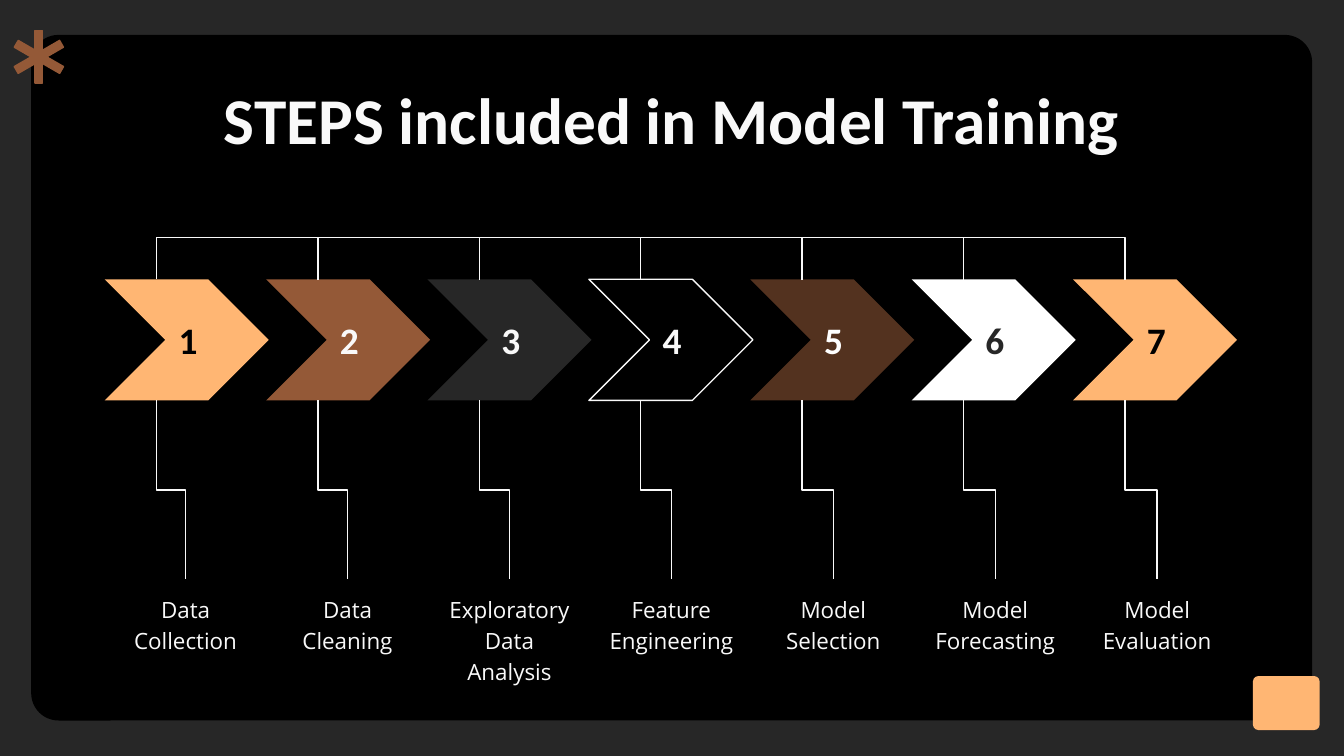
"""Build a slide with the seven steps of model training."""
import pptx
import pptx.dml.color
import pptx.enum.shapes
import pptx.enum.text
import pptx.oxml
import pptx.oxml.ns
import pptx.util

Cm, Pt = pptx.util.Cm, pptx.util.Pt
KIND = pptx.enum.shapes.MSO_SHAPE
ANCHOR = pptx.enum.text.MSO_ANCHOR
qn = pptx.oxml.ns.qn

HUES = {
    "back": "272727", "panel": "000000", "light": "F9F9F9", "white": "FFFFFF",
    "peach": "FFB673", "brown": "945937", "dark": "53321F",
}
TITLE = "STEPS included in Model Training"
STEPS = [
    (["Data Collection"], "peach", None, "panel"),
    (["Data Cleaning"], "brown", None, "light"),
    (["Exploratory", "Data Analysis"], "back", None, "light"),
    (["Feature Engineering"], "panel", "light", "light"),
    (["Model Selection"], "dark", None, "white"),
    (["Model", "Forecasting"], "white", None, "back"),
    (["Model Evaluation"], "peach", None, "panel"),
]
LEFT, PITCH, TOP, WIDE, HIGH = 1.98, 3.05, 5.28, 3.1, 2.29
STEM, RISE, THIN = 0.98, 0.66, 0.01
BASE, SPAN = 10.95, 3.06


def rgb(name):
    return pptx.dml.color.RGBColor.from_string(HUES[name])


def draw(slide, kind, box, fill, line=None, turn=0, bend=None):
    shape = slide.shapes.add_shape(kind, *map(Cm, box))
    shape.shadow.inherit = False
    shape.rotation = turn
    if bend is not None:
        shape.adjustments[0] = bend
    shape.fill.solid()
    shape.fill.fore_color.rgb = rgb(fill)
    if line:
        shape.line.color.rgb = rgb(line)
        shape.line.width = Pt(0.75)
    else:
        shape.line.fill.background()
    return shape


def write(shape, lines, face, size, hue, bold=False, gap=1, anchor=ANCHOR.TOP):
    frame = shape.text_frame
    frame.word_wrap = True
    frame.auto_size = pptx.enum.text.MSO_AUTO_SIZE.NONE
    frame.vertical_anchor = anchor
    frame.margin_left = frame.margin_right = Cm(0.25)
    frame.margin_top = frame.margin_bottom = Cm(0.25)
    for i, line in enumerate(lines):
        para = frame.add_paragraph() if i else frame.paragraphs[0]
        para.alignment = pptx.enum.text.PP_ALIGN.CENTER
        para.line_spacing = gap
        para.space_before = Pt(0)
        run = para.add_run()
        run.text = line
        font = run.font
        font.name, font.size, font.bold = face, Pt(size), bold
        font.color.rgb = rgb(hue)


def link(slide, x1, y1, x2, y2, bend):
    """Draw an elbow that leaves and arrives upright, by a quarter turn."""
    midx, midy = (x1 + x2) / 2, (y1 + y2) / 2
    wide, high = (y2 - y1) / 2, (x2 - x1) / 2
    elbow = slide.shapes.add_connector(
        pptx.enum.shapes.MSO_CONNECTOR.ELBOW,
        Cm(midx + wide), Cm(midy - high), Cm(midx - wide), Cm(midy + high))
    elbow.line.color.rgb = rgb("light")
    elbow.line.width = Pt(0.75)
    props = elbow.element.spPr
    props.find(qn("a:xfrm")).set("rot", "16200000")
    geom = props.find(qn("a:prstGeom"))
    guides = geom.find(qn("a:avLst"))
    if guides is None:
        guides = pptx.oxml.ns.qn and geom.makeelement(qn("a:avLst"), {})
        geom.append(guides)
    guide = guides.makeelement(
        qn("a:gd"), {"name": "adj1", "fmla": f"val {round(bend * 100000)}"})
    guides.append(guide)
    props.append(props.makeelement(qn("a:effectLst"), {}))


def main():
    deck = pptx.Presentation()
    deck.slide_width, deck.slide_height = Cm(25.4), Cm(14.29)
    slide = deck.slides.add_slide(deck.slide_layouts[5])
    slide.background.fill.solid()
    slide.background.fill.fore_color.rgb = rgb("back")

    draw(slide, KIND.ROUNDED_RECTANGLE, (0.59, 0.66, 24.21, 12.96), "panel", bend=0.04)
    draw(slide, KIND.ROUNDED_RECTANGLE, (23.68, 12.78, 1.26, 1.02), "peach", bend=0.1)
    for turn in (0, 120, 240):
        draw(slide, KIND.RECTANGLE, (0.66, 0.58, 0.15, 0.99), "brown", "brown", turn)

    title = slide.shapes.title
    title.element.getparent().append(title.element)
    title.left, title.top, title.width, title.height = map(Cm, (2, 1.24, 21.4, 1.6))
    write(title, [TITLE], "Calibri", 35, "light", True)

    for i, (label, fill, line, ink) in enumerate(STEPS):
        left = LEFT + i * PITCH
        arrow = draw(slide, KIND.CHEVRON, (left, TOP, WIDE, HIGH), fill, line, bend=0.5)
        write(arrow, [str(i + 1)], "Calibri", 20, ink, True, anchor=ANCHOR.MIDDLE)
        side = LEFT + i * SPAN
        note = slide.shapes.add_textbox(*map(Cm, (side, BASE, SPAN, 0.86)))
        write(note, label, "Open Sans", 12, "light", gap=1.15)
        stem = left + STEM
        link(slide, stem, TOP + HIGH, side + SPAN / 2, BASE, 0.5)
        if i:
            link(slide, stem - PITCH, TOP, stem, TOP + THIN, -RISE / THIN * 1.2)

    deck.save("out.pptx")


if __name__ == "__main__":
    main()
